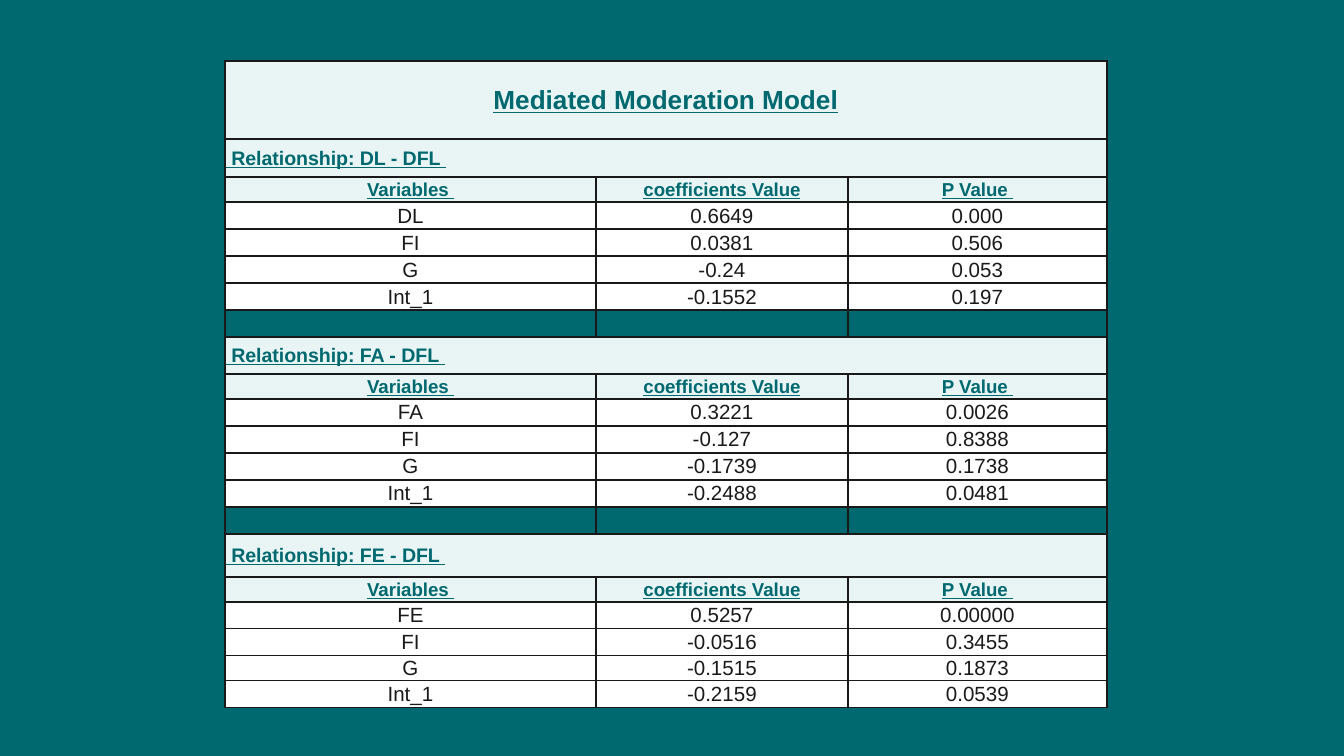
import pptx
import pptx.dml.color
import pptx.enum.text
import pptx.util
from lxml import etree
from pptx.oxml.ns import qn

COLORS = {"teal": "00686F", "mint": "E8F5F4", "white": "FFFFFF", "ink": "191919"}
FONT = "Arial"
EMU_PER_PX = 914400 / 134.4
COLUMN_WIDTHS = [371, 252, 259]
HEADINGS = ["Variables ", "coefficients Value", "P Value "]

# Each model: title, title row height, data row heights, data rows
MODELS = [
    (" Relationship: DL - DFL ", 38, [27, 27, 27, 27],
     [("DL", "0.6649", "0.000"), ("FI", "0.0381", "0.506"),
      ("G", "-0.24", "0.053"), ("Int_1", "-0.1552", "0.197")]),
    (" Relationship: FA - DFL ", 37, [27, 27, 27, 27],
     [("FA", "0.3221", "0.0026"), ("FI", "-0.127", "0.8388"),
      ("G", "-0.1739", "0.1738"), ("Int_1", "-0.2488", "0.0481")]),
    (" Relationship: FE - DFL ", 43, [27, 27, 25, 27],
     [("FE", "0.5257", "0.00000"), ("FI", "-0.0516", "0.3455"),
      ("G", "-0.1515", "0.1873"), ("Int_1", "-0.2159", "0.0539")]),
]


def px(length):
    return pptx.util.Emu(round(length * EMU_PER_PX))


def rgb(name):
    return pptx.dml.color.RGBColor.from_string(COLORS[name])


class SlideBuilder:
    def __init__(self, slide):
        self.slide = slide

    def background(self, color):
        fill = self.slide.background.fill
        fill.solid()
        fill.fore_color.rgb = rgb(color)

    def table(self, left, top, widths, heights):
        frame = self.slide.shapes.add_table(
            len(heights), len(widths), px(left), px(top), px(sum(widths)), px(sum(heights)))
        table = frame.table
        table.first_row = table.horz_banding = False
        for column, width in zip(table.columns, widths):
            column.width = px(width)
        for row, height in zip(table.rows, heights):
            row.height = px(height)
        return table

    def borders(self, cell):
        properties = cell._tc.get_or_add_tcPr()
        for side in ("lnL", "lnR", "lnT", "lnB"):
            line = etree.SubElement(properties, qn("a:" + side), w=str(pptx.util.Pt(1)))
            fill = etree.SubElement(line, qn("a:solidFill"))
            etree.SubElement(fill, qn("a:srgbClr"), val=COLORS["ink"])

    def cell(self, cell, text, size, fill=None, heading=True, centered=True):
        self.borders(cell)
        cell.margin_left = cell.margin_right = cell.margin_top = px(1)
        cell.margin_bottom = 0
        cell.vertical_anchor = pptx.enum.text.MSO_ANCHOR.MIDDLE
        if fill:
            cell.fill.solid()
            cell.fill.fore_color.rgb = rgb(fill)
        else:
            cell.fill.background()
        paragraph = cell.text_frame.paragraphs[0]
        if centered:
            paragraph.alignment = pptx.enum.text.PP_ALIGN.CENTER
        if not text:
            # An empty cell keeps its row low through the end mark's size
            etree.SubElement(paragraph._p, qn("a:endParaRPr"), sz=str(size * 100))
            return
        paragraph.text = text
        font = paragraph.runs[0].font
        font.name = FONT
        font.size = pptx.util.Pt(size)
        font.bold = font.underline = heading
        font.color.rgb = rgb("teal" if heading else "ink")

    def row(self, table, index, texts, size, **style):
        for column, text in enumerate(texts):
            self.cell(table.cell(index, column), text, size, **style)

    def merged_row(self, table, index, text, size, **style):
        self.row(table, index, [text, "", ""], size, **style)
        table.cell(index, 0).merge(table.cell(index, 2))


def main():
    presentation = pptx.Presentation()
    presentation.slide_width, presentation.slide_height = px(1344), px(756)
    builder = SlideBuilder(presentation.slides.add_slide(presentation.slide_layouts[6]))
    builder.background("teal")

    # Row heights: table title, then title, headings and data per model, spacers between
    heights = [78]
    for number, (_, title_height, data_heights, _) in enumerate(MODELS):
        heights += [27] if number else []
        heights += [title_height, 25, *data_heights]
    table = builder.table(225, 61, COLUMN_WIDTHS, heights)

    # Table title
    builder.merged_row(table, 0, "Mediated Moderation Model", 14, fill="mint")

    # Models
    index = 1
    for number, (title, _, _, rows) in enumerate(MODELS):
        if number:
            builder.row(table, index, ["", "", ""], 10)
            index += 1
        builder.merged_row(table, index, title, 10.5, fill="mint", centered=False)
        builder.row(table, index + 1, HEADINGS, 10, fill="mint")
        index += 2
        for values in rows:
            builder.row(table, index, values, 11, fill="white", heading=False)
            index += 1

    presentation.save("out.pptx")


if __name__ == "__main__":
    main()
